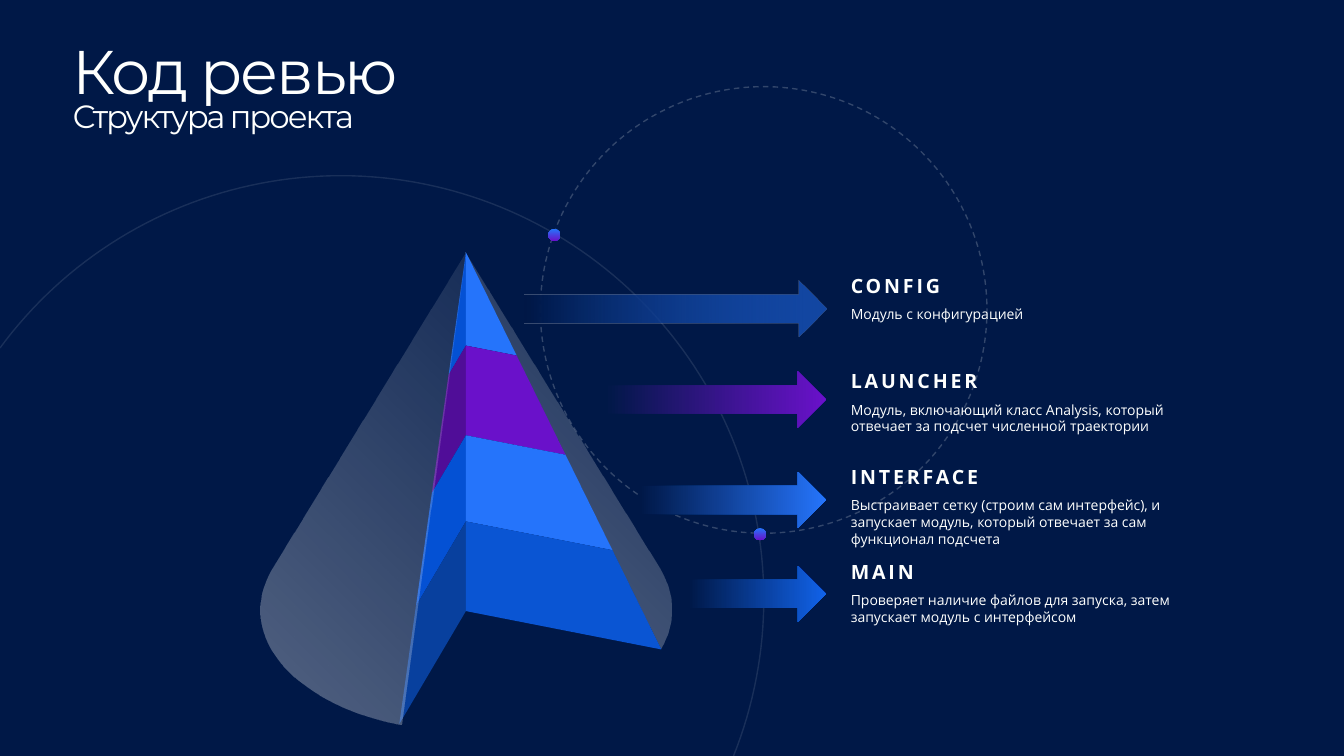
from math import acos, asin, cos, degrees, pi, radians, sin

from lxml.etree import SubElement
from pptx import Presentation
from pptx.dml.color import RGBColor
from pptx.enum.dml import MSO_LINE
from pptx.enum.shapes import MSO_SHAPE
from pptx.enum.text import MSO_ANCHOR, MSO_AUTO_SIZE
from pptx.oxml.ns import qn
from pptx.util import Pt

NAVY = RGBColor(0x00, 0x18, 0x47)
WHITE = RGBColor(0xFE, 0xFF, 0xFE)
BLUE = RGBColor(0x25, 0x74, 0xFB)
PURPLE = RGBColor(0x6A, 0x11, 0xCA)
ROYAL = RGBColor(0x0A, 0x55, 0xD3)
AZURE = RGBColor(0x11, 0x62, 0xE8)
DARK_PURPLE = RGBColor(0x50, 0x0D, 0x98)
DARK_BLUE = RGBColor(0x04, 0x51, 0xD4)
DEEP_BLUE = RGBColor(0x08, 0x40, 0x9E)

SLIDE_W, SLIDE_H = 960, 540

# Cone bands from the apex down: (left face, right face)
BANDS = [(DARK_BLUE, BLUE), (DARK_PURPLE, PURPLE), (DARK_BLUE, BLUE), (DEEP_BLUE, ROYAL)]
BAND_LEVELS = [0, 0.26, 0.51, 0.75, 1]

# Modules: name, description, lines, arrow left, arrow top, arrow colour, opacity %
MODULES = [
    ("CONFIG", "Модуль с конфигурацией", 1, 375, 200.2, BLUE, 51),
    ("LAUNCHER", "Модуль, включающий класс Analysis, который отвечает за подсчет "
     "численной траектории", 2, 432, 265.2, PURPLE, 100),
    ("INTERFACE", "Выстраивает сетку (строим сам интерфейс), и запускает модуль, "
     "который отвечает за сам функционал подсчета", 3, 457.2, 337, BLUE, 100),
    ("MAIN", "Проверяет наличие файлов для запуска, затем запускает модуль с "
     "интерфейсом", 2, 491.6, 404, AZURE, 100),
]


def set_alpha(clr, percent):
    if percent < 100:
        SubElement(clr, qn("a:alpha"), val=str(percent * 1000))


def fill_gradient(sp, stops, angle=None):
    """Linear gradient, or one radiating from the bottom left if no angle."""
    sp.fill.background()
    spPr = sp._element.spPr
    grad = spPr.makeelement(qn("a:gradFill"), rotWithShape="1")
    gs_list = SubElement(grad, qn("a:gsLst"))
    for pos, (color, opacity) in zip((0, 100000), stops):
        gs = SubElement(gs_list, qn("a:gs"), pos=str(pos))
        set_alpha(SubElement(gs, qn("a:srgbClr"), val=str(color)), opacity)
    if angle is None:
        radial = SubElement(grad, qn("a:path"), path="circle")
        SubElement(radial, qn("a:fillToRect"), t="100000", r="100000")
    else:
        SubElement(grad, qn("a:lin"), ang=str(angle * 60000), scaled="0")
    spPr.replace(spPr.find(qn("a:noFill")), grad)


def add_preset(shapes, kind, x, y, w, h):
    sp = shapes.add_shape(kind, Pt(x), Pt(y), Pt(w), Pt(h))
    sp.shadow.inherit = False
    sp.line.fill.background()
    return sp


def add_outline(shapes, points, close=True):
    pts = [(Pt(x), Pt(y)) for x, y in points]
    builder = shapes.build_freeform(*pts[0])
    builder.add_line_segments(pts[1:], close=close)
    sp = builder.convert_to_shape()
    sp.shadow.inherit = False
    sp.line.fill.background()
    return sp


def add_faint_line(sp, opacity, dash=None):
    sp.fill.background()
    sp.line.color.rgb = WHITE
    sp.line.width = Pt(1)
    if dash:
        sp.line.dash_style = dash
    clr = sp._element.spPr.find(qn("a:ln")).find(".//" + qn("a:srgbClr"))
    set_alpha(clr, opacity)


def ellipse_points(cx, cy, rx, ry, start, end, steps):
    angles = [radians(start + (end - start) * i / steps) for i in range(steps + 1)]
    return [(cx + rx * cos(a), cy + ry * sin(a)) for a in angles]


def add_run(p, text, font, size, spacing=0, bold=False):
    r = p.add_run()
    r.text = text
    r.font.name, r.font.size, r.font.bold = font, Pt(size), bold
    r.font.color.rgb = WHITE
    r._r.get_or_add_rPr().set("spc", str(int(spacing * 100)))


def add_text_frame(s, x, y, w, h, insets):
    tf = s.shapes.add_textbox(Pt(x), Pt(y), Pt(w), Pt(h)).text_frame
    tf.word_wrap = True
    tf.vertical_anchor = MSO_ANCHOR.TOP
    tf.margin_left, tf.margin_top, tf.margin_right, tf.margin_bottom = map(Pt, insets)
    return tf


def add_orbits(s, x, y, w, h):
    # Large arc, from the left edge of the box to its bottom edge
    cx, cy, radius = x + 243.4, y + 427.7, 302.2
    start = degrees(pi + acos((cx - x) / radius))
    end = 360 + degrees(asin((y + h - cy) / radius))
    arc = ellipse_points(cx, cy, radius, radius, start, end, 120)
    add_faint_line(add_outline(s.shapes, arc, close=False), 10)
    # Dashed circle
    circle = add_preset(s.shapes, MSO_SHAPE.OVAL, x + 386, y + 61.9, 319, 319)
    add_faint_line(circle, 20, MSO_LINE.DASH)
    # Dots where the two cross
    for dot_x, dot_y in [(538.6, 377.3), (391.6, 163.5)]:
        dot = add_preset(s.shapes, MSO_SHAPE.OVAL, x + dot_x, y + dot_y, 8.6, 8.6)
        fill_gradient(dot, [(BLUE, 100), (PURPLE, 100)], 90)


def add_title(s, x, y, w, h):
    tf = add_text_frame(s, x, y, w, h, (0, 15.1, 0, 0))
    p = tf.paragraphs[0]
    p.line_spacing = 0.75
    add_run(p, "Код ревью", "Montserrat", 44, -1.5)
    p.add_line_break()
    add_run(p, "Структура проекта", "Montserrat", 23, -1.5)


def add_cone(s, x, y, w, h):
    shapes = s.shapes.add_group_shape().shapes
    apex = (x + 0.5 * w, y)
    left, axis, right = (x + 99.4, y + h), (apex[0], y + 256.3), (x + 286.6, y + 283.7)
    base = (x + w / 2, y + 255, w / 2, 86.4)

    def along(end, level):
        return tuple(a + (b - a) * level for a, b in zip(apex, end))

    def add_faces(edge, side):
        for colors, top, bottom in zip(BANDS, BAND_LEVELS, BAND_LEVELS[1:]):
            corners = [along(axis, top), along(axis, bottom),
                       along(edge, bottom), along(edge, top)]
            face = add_outline(shapes, corners)
            face.fill.solid()
            face.fill.fore_color.rgb = colors[side]

    add_faces(left, 0)
    # Translucent shell on both sides of the cut
    for start, end in [(199, 108.3), (-19, 19)]:
        shell = add_outline(shapes, [apex] + ellipse_points(*base, start, end, 40))
        fill_gradient(shell, [(WHITE, 33), (WHITE, 10)])
    add_faces(right, 1)


def add_arrows(s, right, h):
    for _, _, _, x, y, color, opacity in MODULES:
        arrow = add_preset(s.shapes, MSO_SHAPE.RIGHT_ARROW, x, y, right - x, h)
        fill_gradient(arrow, [(NAVY, 100), (color, opacity)], 0)


def add_labels(s, x, y, w, pitch):
    for i, (name, description, lines, *_) in enumerate(MODULES):
        tf = add_text_frame(s, x, y + i * pitch, w, 32 + 12 * lines, (9.4, 3.6, 9.4, 5))
        tf.auto_size = MSO_AUTO_SIZE.SHAPE_TO_FIT_TEXT
        heading, body = tf.paragraphs[0], tf.add_paragraph()
        heading.space_before = body.space_before = Pt(6)
        add_run(heading, name, "Open Sans", 14, 2, True)
        add_run(body, description, "Open Sans", 10)


prs = Presentation()
prs.slide_width, prs.slide_height = Pt(SLIDE_W), Pt(SLIDE_H)
s = prs.slides.add_slide(prs.slide_layouts[6])
s.background.fill.solid()
s.background.fill.fore_color.rgb = NAVY

add_orbits(s, 0, 0, SLIDE_W, SLIDE_H)
add_title(s, 51.8, 20.9, 332.6, 127.4)
add_cone(s, 185.8, 180.2, 294, 337)
add_arrows(s, 590, 40.3)
add_labels(s, 598.3, 192.2, 253.4, 68)
prs.save("out.pptx")
